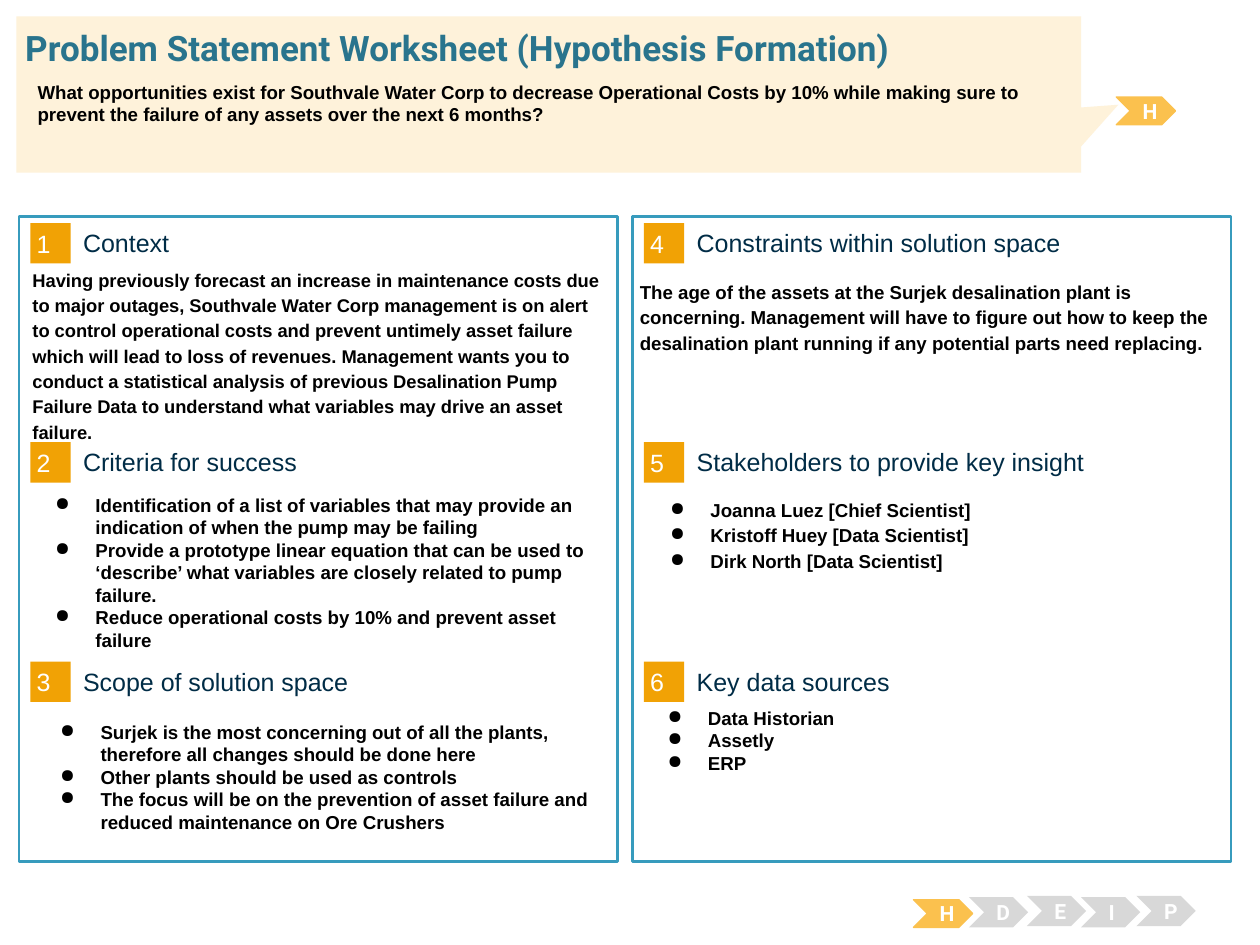
from lxml import etree
from pptx import Presentation
from pptx.dml.color import RGBColor
from pptx.enum.shapes import MSO_SHAPE
from pptx.enum.text import MSO_ANCHOR, MSO_AUTO_SIZE, PP_ALIGN
from pptx.oxml.ns import qn
from pptx.util import Inches, Pt

RECT = MSO_SHAPE.RECTANGLE
CHEVRON = MSO_SHAPE.CHEVRON
CALLOUT = MSO_SHAPE.RECTANGULAR_CALLOUT
TOP, MIDDLE = MSO_ANCHOR.TOP, MSO_ANCHOR.MIDDLE
LEFT, CENTER = PP_ALIGN.LEFT, PP_ALIGN.CENTER
FIXED = MSO_AUTO_SIZE.NONE

WHITE, BLACK, NAVY, TEAL = "FFFFFF", "000000", "002C46", "29748D"
BLUE, ORANGE, GOLD, GRAY, CREAM = "379BBD", "F1A205", "FBC14E", "D8D8D8", "FEF2DA"


def color(code):
    """Turn a hex string into a colour."""
    return RGBColor.from_string(code)


class Sheet:
    """Hold the worksheet style and its slide."""

    def __init__(self, slide):
        """Keep the slide to draw on."""
        self.slide = slide

    def place(self, shape, box):
        """Move a shape to a box given in inches."""
        shape.left, shape.top, shape.width, shape.height = map(Inches, box)

    def label(self, shape, lines, size, ink, bold=False, font="Arial",
              pad=(0.1, 0.05), anchor=TOP, align=LEFT, space=1.0):
        """Fill a shape with styled paragraphs."""
        frame = shape.text_frame
        frame.word_wrap = True
        frame.auto_size = FIXED
        frame.vertical_anchor = anchor
        frame.margin_left = frame.margin_right = Inches(pad[0])
        frame.margin_top = frame.margin_bottom = Inches(pad[1])
        frame.text = "\n".join(lines)
        for para in frame.paragraphs:
            para.alignment = align
            para.line_spacing = space
            for run in para.runs:
                run.font.size = Pt(size)
                run.font.name = font
                run.font.bold = bold
                run.font.color.rgb = color(ink)

    def shape(self, kind, box, fill, line=None, width=0.75):
        """Add a flat filled shape."""
        item = self.slide.shapes.add_shape(kind, *map(Inches, box))
        item.shadow.inherit = False
        item.fill.solid()
        item.fill.fore_color.rgb = color(fill)
        if line:
            item.line.color.rgb = color(line)
            item.line.width = Pt(width)
        else:
            item.line.fill.background()
        return item

    def text(self, box, lines, size=10.7, ink=BLACK, bold=True, **style):
        """Add a wrapped text box."""
        item = self.slide.shapes.add_textbox(*map(Inches, box))
        self.label(item, lines, size, ink, bold, **style)
        return item

    def bullets(self, box, lines, space=1.0):
        """Add a bulleted list."""
        for para in self.text(box, lines, space=space).text_frame.paragraphs:
            props = para._p.get_or_add_pPr()
            props.set("marL", str(Inches(0.5)))
            props.set("indent", str(-Inches(0.32)))
            tint = etree.SubElement(props, qn("a:buClr"))
            etree.SubElement(tint, qn("a:srgbClr")).set("val", BLACK)
            etree.SubElement(props, qn("a:buChar")).set("char", "●")

    def head(self, num, x, y, name):
        """Add a numbered section heading."""
        tile = self.shape(RECT, (x, y, 0.32, 0.32), ORANGE)
        self.label(tile, [str(num)], 14.3, WHITE, pad=(0.05, 0.05), anchor=MIDDLE)
        self.text((x + 0.42, y + 0.03, 3.93, 0.25), [name], 14.3, NAVY, False,
                  pad=(0, 0), anchor=MIDDLE)

    def step(self, letter, x, y, live=False):
        """Add a lettered stage chevron."""
        high = 0.22 if live else 0.24
        fill = GOLD if live else GRAY
        item = self.shape(CHEVRON, (x, y, 0.47, high), fill, GOLD if live else None)
        self.label(item, [letter], 12, WHITE, True, "Roboto",
                   anchor=MIDDLE, align=CENTER)

    def title(self, box, name):
        """Set the title in front of its banner."""
        item = self.slide.shapes.title
        self.place(item, box)
        self.label(item, [name], 20, TEAL, True, "Roboto", pad=(0, 0))
        self.slide.shapes._spTree.append(item._element)


def main():
    """Build the worksheet."""
    deck = Presentation()
    deck.slide_width, deck.slide_height = Inches(10), Inches(7.5)
    sheet = Sheet(deck.slides.add_slide(deck.slide_layouts[5]))

    for x in (0.15, 5.02):
        sheet.shape(RECT, (x, 1.72, 4.75, 5.12), WHITE, BLUE, 1.5)

    heads = ["Context", "Criteria for success", "Scope of solution space",
             "Constraints within solution space",
             "Stakeholders to provide key insight", "Key data sources"]
    for i, name in enumerate(heads):
        col, row = divmod(i, 3)
        sheet.head(i + 1, 0.24 + 4.87 * col, 1.77 + 1.74 * row, name)

    sheet.text((0.16, 2.06, 4.73, 1.36), [
        "Having previously forecast an increase in maintenance costs due to major "
        "outages, Southvale Water Corp management is on alert to control operational "
        "costs and prevent untimely asset failure which will lead to loss of revenues. "
        "Management wants you to conduct a statistical analysis of previous "
        "Desalination Pump Failure Data to understand what variables may drive an "
        "asset failure."], 10.5, space=1.15)
    sheet.bullets((0.16, 3.87, 4.73, 1.54), [
        "Identification of a list of variables that may provide an indication of when "
        "the pump may be failing",
        "Provide a prototype linear equation that can be used to ‘describe’ what "
        "variables are closely related to pump failure.",
        "Reduce operational costs by 10% and prevent asset failure"])
    sheet.bullets((0.2, 5.67, 4.73, 0.82), [
        "Surjek is the most concerning out of all the plants, therefore all changes "
        "should be done here",
        "Other plants should be used as controls",
        "The focus will be on the prevention of asset failure and reduced maintenance "
        "on Ore Crushers"])
    sheet.text((4.98, 2.15, 4.73, 1.18), [
        "The age of the assets at the Surjek desalination plant is concerning. "
        "Management will have to figure out how to keep the desalination plant running "
        "if any potential parts need replacing."], space=1.15)
    sheet.bullets((5.04, 3.88, 4.73, 1.18), [
        "Joanna Luez [Chief Scientist]", "Kristoff Huey [Data Scientist]",
        "Dirk North [Data Scientist]"], 1.15)
    sheet.bullets((5.02, 5.56, 4.73, 1.18), ["Data Historian", "Assetly", "ERP"])

    sheet.step("H", 7.25, 7.14, True)
    for letter, x, y in [("D", 7.69, 7.12), ("E", 8.15, 7.11),
                         ("I", 8.58, 7.12), ("P", 9.02, 7.11)]:
        sheet.step(letter, x, y)
    sheet.step("H", 8.86, 0.77, True)

    banner = sheet.shape(CALLOUT, (0.13, 0.13, 8.45, 1.24), CREAM)
    banner.adjustments[0], banner.adjustments[1] = 0.535, 0.066
    sheet.title((0.2, 0.21, 9.62, 0.34),
                "Problem Statement Worksheet (Hypothesis Formation)")
    sheet.text((0.2, 0.59, 8.3, 0.54), [
        "What opportunities exist for Southvale Water Corp to decrease Operational "
        "Costs by 10% while making sure to prevent the failure of any assets over the "
        "next 6 months?"])

    deck.save("out.pptx")


if __name__ == "__main__":
    main()
